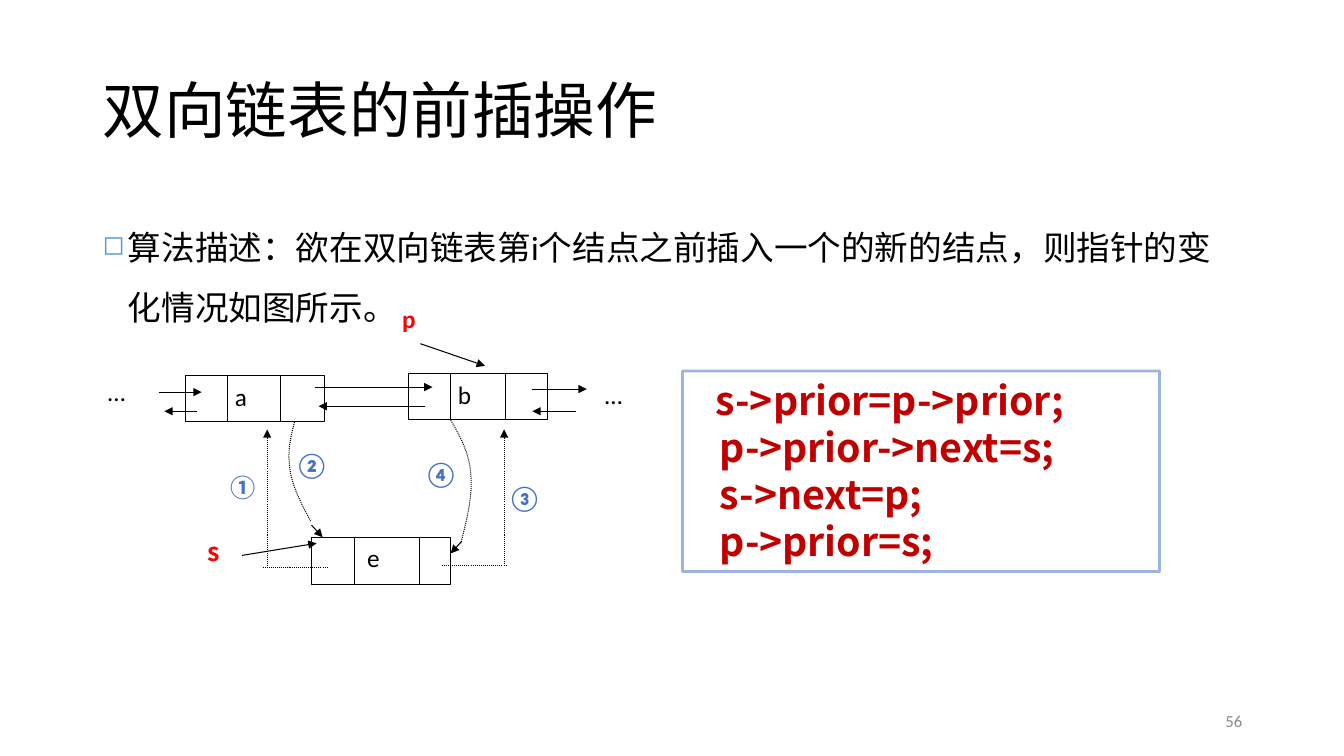
from typing import NamedTuple

from lxml import etree
from pptx import Presentation
from pptx.dml.color import RGBColor
from pptx.enum.dml import MSO_LINE_DASH_STYLE as Dash
from pptx.enum.shapes import MSO_CONNECTOR, MSO_SHAPE
from pptx.enum.text import MSO_ANCHOR as Anchor, PP_ALIGN as Align
from pptx.oxml.ns import qn
from pptx.util import Inches, Pt

BLACK = RGBColor(0x00, 0x00, 0x00)
WHITE = RGBColor(0xFF, 0xFF, 0xFF)
RED = RGBColor(0xFF, 0x00, 0x00)
DARK_RED = RGBColor(0xC0, 0x00, 0x00)
BLUE = RGBColor(0x44, 0x72, 0xC4)
LIGHT_BLUE = RGBColor(0x5B, 0x9B, 0xD5)
GRAY = RGBColor(0x89, 0x89, 0x89)
LATIN = "Calibri"
CJK = "Noto Sans CJK SC"
INSET = 0.1

Point = tuple[float, float]


class Node(NamedTuple):
    letter: str
    left: float
    top: float
    height: float
    dividers: tuple[float, float]
    letter_inset: float


class Arrow(NamedTuple):
    start: Point
    end: Point
    dotted: bool = False
    head: bool = True


class Label(NamedTuple):
    text: str
    left: float
    top: float
    width: float
    height: float
    color: RGBColor
    font: str = LATIN
    bold: bool = True
    inset: float = INSET


NODE_WIDTH = 1.38
NODES = [
    Node("e", 3.09, 5.33, 0.47, (0.43, 1.07), 0.55),
    Node("b", 4.05, 3.71, 0.45, (0.42, 0.96), 0.49),
    Node("a", 1.84, 3.73, 0.45, (0.42, 0.94), 0.49),
]
ARROWS = [
    Arrow((2.65, 5.62), (2.65, 4.26), dotted=True),
    Arrow((5, 5.62), (5, 4.26), dotted=True),
    Arrow((3.25, 5.63), (2.61, 5.63), dotted=True, head=False),
    Arrow((4.38, 5.61), (5.02, 5.61), dotted=True, head=False),
    Arrow((3.09, 5.21), (3.2, 5.33)),
    Arrow((4.58, 5.37), (4.47, 5.49)),
    Arrow((2.4, 5.51), (3.14, 5.39)),
    Arrow((4.17, 3.41), (4.81, 3.63)),
    Arrow((5.28, 3.86), (5.82, 3.86)),
    Arrow((5.71, 4.08), (5.28, 4.08)),
    Arrow((1.58, 3.89), (2, 3.89)),
    Arrow((1.95, 4.08), (1.63, 4.08)),
    Arrow((4.22, 4.03), (3.16, 4.03)),
    Arrow((3.12, 3.84), (4.29, 3.84)),
]
CURVES = [
    [(2.97, 4.03), (2.91, 4.22), (2.85, 4.41), (2.87, 4.6),
     (2.88, 4.79), (2.98, 4.98), (3.08, 5.17)],
    [(4.46, 4.15), (4.56, 4.32), (4.66, 4.5), (4.67, 4.71),
     (4.69, 4.92), (4.63, 5.16), (4.57, 5.39)],
]
LABELS = [
    Label("s", 1.96, 5.27, 0.43, 0.45, RED, CJK),
    Label("p", 3.89, 2.96, 0.49, 0.67, RED),
    Label("①", 2.19, 4.64, 0.56, 0.57, BLUE, CJK),
    Label("②", 2.83, 4.41, 0.56, 0.57, BLUE),
    Label("③", 4.94, 4.74, 0.56, 0.52, BLUE),
    Label("④", 4.11, 4.5, 0.56, 0.52, BLUE),
    Label("…", 0.92, 3.68, 0.65, 0.59, BLACK, bold=False, inset=0.15),
    Label("…", 5.85, 3.71, 0.65, 0.59, BLACK, bold=False, inset=0.15),
]
DESCRIPTION = [
    ("算法描述：", LATIN),
    ("欲在双向链表第", CJK),
    ("i", LATIN),
    ("个结点之前插入一个的新的结点，则指针的变化情况如图所示。", CJK),
]
CODE = ["s->prior=p->prior;", "p->prior->next=s;", "s->next=p;", "p->prior=s;"]


def add_run(paragraph, text: str, size: float, font: str, color: RGBColor, bold: bool = False) -> None:
    run = paragraph.add_run()
    run.text = text
    run.font.size = Pt(size)
    run.font.name = font
    run.font.bold = bold
    run.font.color.rgb = color
    east_asian = etree.SubElement(run._r.get_or_add_rPr(), qn("a:ea"))
    east_asian.set("typeface", font)


def add_text_box(slide, left: float, top: float, width: float, height: float,
                 anchor=Anchor.TOP, inset: float = INSET):
    frame = slide.shapes.add_textbox(Inches(left), Inches(top), Inches(width), Inches(height)).text_frame
    frame.word_wrap = True
    frame.vertical_anchor = anchor
    frame.margin_left = Inches(inset)
    return frame


def add_box(slide, left: float, top: float, width: float, height: float):
    box = slide.shapes.add_shape(MSO_SHAPE.RECTANGLE, Inches(left), Inches(top), Inches(width), Inches(height))
    box.shadow.inherit = False
    box.text_frame.vertical_anchor = Anchor.TOP
    box.text_frame.word_wrap = True
    return box


def style_line(line, dotted: bool) -> None:
    line.color.rgb = BLACK
    line.width = Pt(0.75)
    if dotted:
        line.dash_style = Dash.ROUND_DOT


def draw_arrow(slide, arrow: Arrow) -> None:
    ends = [Inches(value) for value in (*arrow.start, *arrow.end)]
    connector = slide.shapes.add_connector(MSO_CONNECTOR.STRAIGHT, *ends)
    style_line(connector.line, arrow.dotted)
    if arrow.head:
        etree.SubElement(connector.line._get_or_add_ln(), qn("a:tailEnd")).set("type", "triangle")
    etree.SubElement(connector._element.spPr, qn("a:effectLst"))


def draw_node(slide, node: Node) -> None:
    box = add_box(slide, node.left, node.top, NODE_WIDTH, node.height)
    box.fill.solid()
    box.fill.fore_color.rgb = WHITE
    style_line(box.line, dotted=False)
    box.text_frame.margin_left = Inches(node.letter_inset)
    paragraph = box.text_frame.paragraphs[0]
    paragraph.alignment = Align.LEFT
    add_run(paragraph, node.letter, 18, LATIN, BLACK)
    for offset in node.dividers:
        x = node.left + offset
        draw_arrow(slide, Arrow((x, node.top), (x, node.top + node.height), head=False))


def bezier(points: list[Point], t: float) -> Point:
    weights = ((1 - t) ** 3, 3 * t * (1 - t) ** 2, 3 * t ** 2 * (1 - t), t ** 3)
    x, y = (sum(w * p[axis] for w, p in zip(weights, points)) for axis in (0, 1))
    return x, y


def draw_curve(slide, controls: list[Point], steps: int = 12) -> None:
    points = [bezier(controls[i:i + 4], step / steps) for i in (0, 3) for step in range(1, steps + 1)]
    start, *rest = [(Inches(x), Inches(y)) for x, y in (controls[0], *points)]
    builder = slide.shapes.build_freeform(*start)
    builder.add_line_segments(rest, close=False)
    curve = builder.convert_to_shape()
    curve.shadow.inherit = False
    curve.fill.background()
    style_line(curve.line, dotted=True)


def draw_label(slide, label: Label) -> None:
    frame = add_text_box(slide, label.left, label.top, label.width, label.height, inset=label.inset)
    add_run(frame.paragraphs[0], label.text, 18, label.font, label.color, label.bold)


def draw_description(slide) -> None:
    paragraph = add_text_box(slide, 0.92, 2, 11.5, 4.76).paragraphs[0]
    paragraph.line_spacing = 1.5
    properties = paragraph._p.get_or_add_pPr()
    properties.set("marL", str(Inches(0.25)))
    properties.set("indent", str(Inches(-0.25)))
    bullet_color = etree.SubElement(properties, qn("a:buClr"))
    etree.SubElement(bullet_color, qn("a:srgbClr")).set("val", str(LIGHT_BLUE))
    etree.SubElement(properties, qn("a:buSzPct")).set("val", "80000")
    etree.SubElement(properties, qn("a:buChar")).set("char", "◻")
    for text, font in DESCRIPTION:
        add_run(paragraph, text, 24, font, BLACK)


def draw_code(slide) -> None:
    box = add_box(slide, 6.77, 3.68, 4.73, 1.99)
    box.fill.background()
    box.line.color.rgb = BLUE
    box.line.width = Pt(2)
    line_color = box.line._get_or_add_ln().find(".//" + qn("a:srgbClr"))
    etree.SubElement(line_color, qn("a:alpha")).set("val", "52000")
    frame = box.text_frame
    for index, statement in enumerate(CODE):
        paragraph = frame.add_paragraph() if index else frame.paragraphs[0]
        paragraph.alignment = Align.LEFT
        paragraph._p.get_or_add_pPr().set("marL", str(Inches(0.27 if index else 0.23)))
        add_run(paragraph, statement, 28, CJK, DARK_RED, bold=True)


def main() -> None:
    deck = Presentation()
    deck.slide_width, deck.slide_height = Inches(13.33), Inches(7.5)
    slide = deck.slides.add_slide(deck.slide_layouts[6])
    title = add_text_box(slide, 0.92, 0.4, 11.5, 1.45, Anchor.MIDDLE).paragraphs[0]
    title.line_spacing = 0.9
    add_run(title, "双向链表的前插操作", 44, CJK, BLACK)
    page_number = add_text_box(slide, 9.42, 6.95, 3, 0.4, Anchor.MIDDLE).paragraphs[0]
    page_number.alignment = Align.RIGHT
    add_run(page_number, "56", 12, LATIN, GRAY)
    draw_description(slide)
    for draw, parts in ((draw_curve, CURVES), (draw_node, NODES), (draw_arrow, ARROWS), (draw_label, LABELS)):
        for part in parts:
            draw(slide, part)
    draw_code(slide)
    deck.save("out.pptx")


if __name__ == "__main__":
    main()
